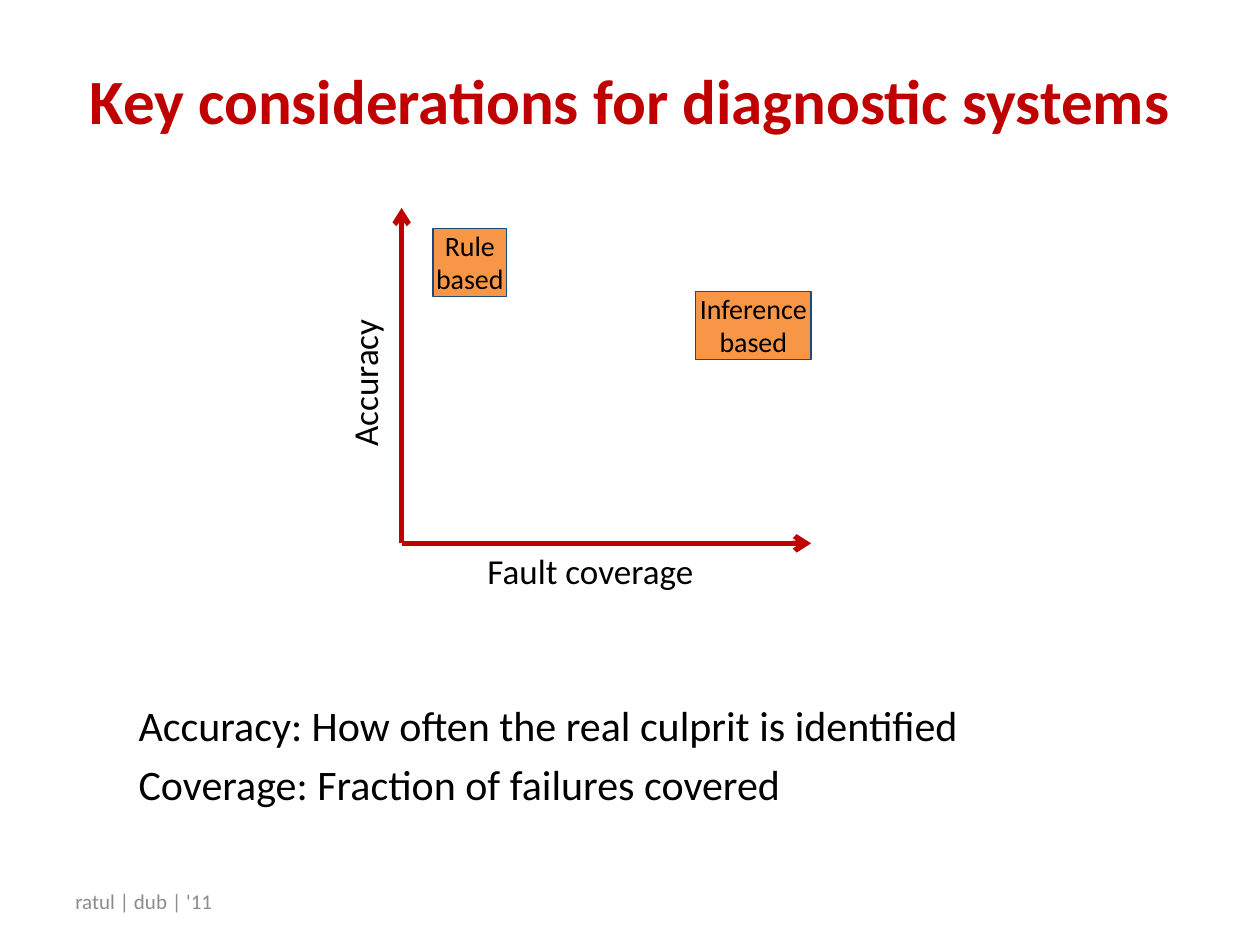
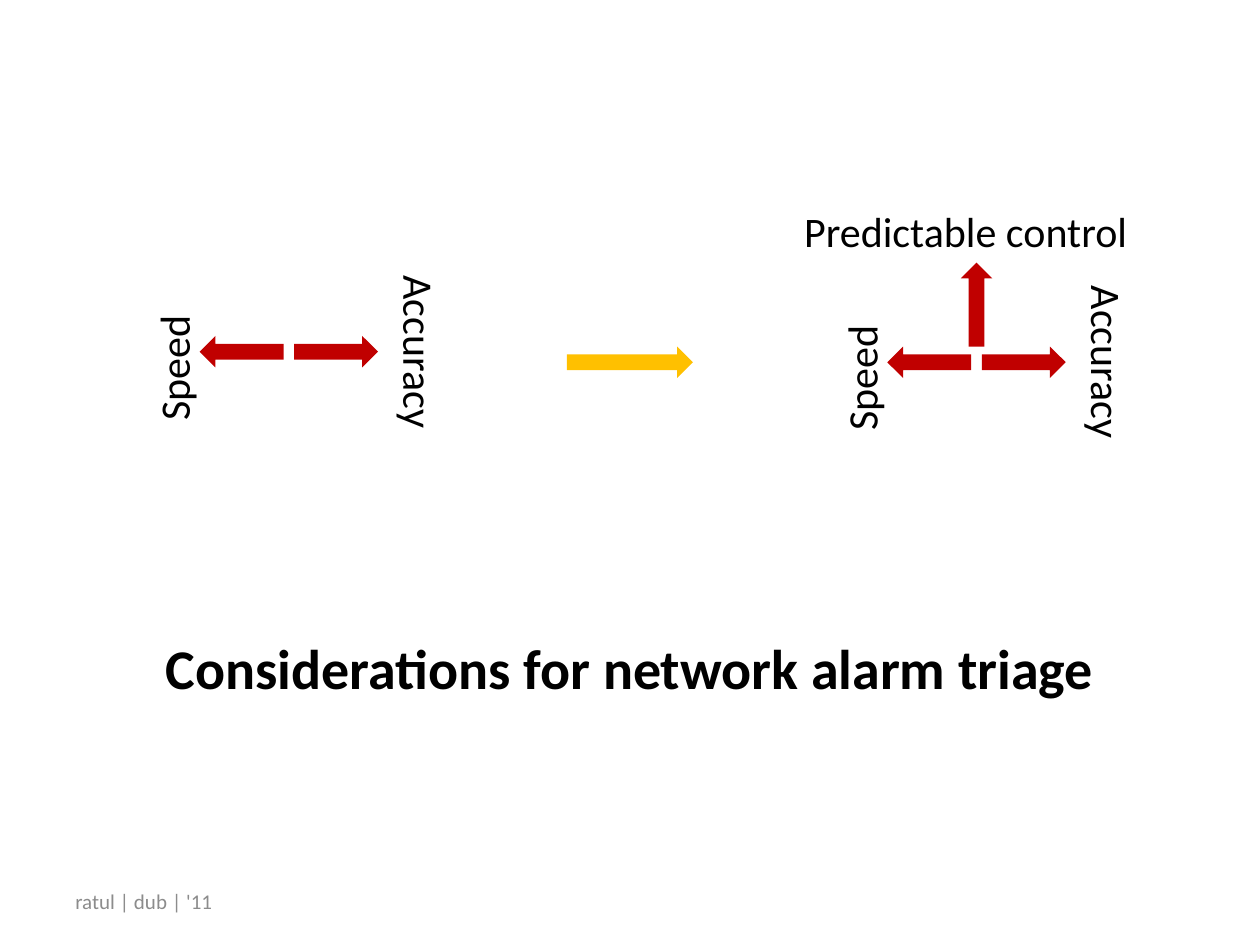
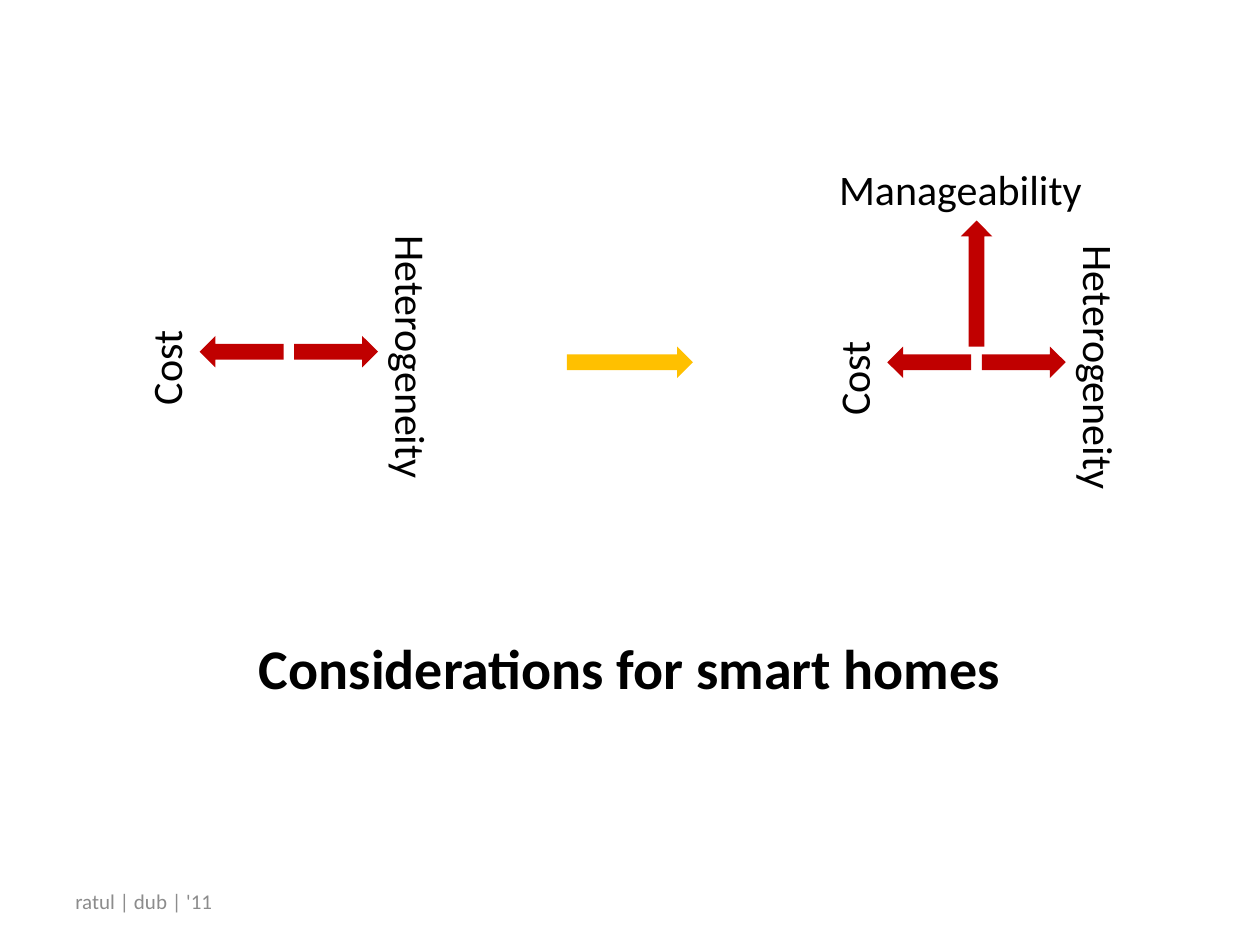
from dataclasses import dataclass

from lxml.etree import SubElement
from pptx import Presentation
from pptx.dml.color import RGBColor
from pptx.enum.shapes import MSO_CONNECTOR, MSO_SHAPE
from pptx.enum.text import MSO_ANCHOR, PP_ALIGN
from pptx.oxml.ns import qn
from pptx.util import Emu, Inches, Pt


@dataclass(frozen=True)
class Theme:
    font: str = "Calibri"
    red: RGBColor = RGBColor(0xC0, 0x00, 0x00)
    gold: RGBColor = RGBColor(0xFF, 0xC0, 0x00)
    orange: RGBColor = RGBColor(0xF7, 0x96, 0x46)
    navy: RGBColor = RGBColor(0x1F, 0x49, 0x7D)
    black: RGBColor = RGBColor(0x00, 0x00, 0x00)
    grey: RGBColor = RGBColor(0x8C, 0x8C, 0x8C)
    title: int = 36
    closing_title: int = 32
    body: int = 24
    axis: int = 20
    method: int = 16
    footer: int = 12


THEME = Theme()
CELL = Inches(1) / 12  # the slide is a grid of 120 columns by 90 rows


def area(left, top, width, height):
    """Turn grid columns and rows into a shape's position and size."""
    return [Emu(round(cells * CELL)) for cells in (left, top, width, height)]


def write(shape, text, size, color=THEME.black, align=PP_ALIGN.LEFT, bold=False,
          anchor=MSO_ANCHOR.TOP):
    """Fill a shape with one paragraph per line of text."""
    frame = shape.text_frame
    frame.text = text
    frame.word_wrap = True
    frame.vertical_anchor = anchor
    for para in frame.paragraphs:
        para.alignment = align
        para.font.name = THEME.font
        para.font.size = Pt(size)
        para.font.bold = bold
        para.font.color.rgb = color
    return frame


deck = Presentation()
deck.slide_width, deck.slide_height = area(0, 0, 120, 90)[2:]
content_layout, title_layout = deck.slide_layouts[1], deck.slide_layouts[5]

# Slides with their titles
pages = []
for layout, text, top, size, color in [
    (content_layout, "Key considerations for diagnostic systems", 2, THEME.title, THEME.red),
    (title_layout, "Considerations for network alarm triage", 56, THEME.closing_title, THEME.black),
    (title_layout, "Considerations for smart homes", 56, THEME.closing_title, THEME.black),
]:
    page = deck.slides.add_slide(layout)
    title = page.shapes.title
    title.left, title.top, title.width, title.height = area(6, top, 108, 15)
    write(title, text, size, color, PP_ALIGN.CENTER, True, MSO_ANCHOR.MIDDLE)
    pages.append(page)

# Diagnostic systems: definitions
diagnostics = pages[0]
body = diagnostics.placeholders[1]
body.left, body.top, body.width, body.height = area(12, 66, 99, 15)
definitions = write(
    body,
    "Accuracy: How often the real culprit is identified\nCoverage: Fraction of failures covered",
    THEME.body,
)
for para in definitions.paragraphs:
    properties = para._p.get_or_add_pPr()
    properties.set("marL", str(Inches(0.5)))
    properties.set("indent", str(-Inches(0.5)))
    properties.insert_element_before(properties.makeelement(qn("a:buNone")), "a:defRPr")

# Diagnostic systems: axes
ORIGIN_X, ORIGIN_Y = 38.25, 51.75
for end_x, end_y in [(ORIGIN_X, 19.8), (77.25, ORIGIN_Y)]:
    axis = diagnostics.shapes.add_connector(
        MSO_CONNECTOR.STRAIGHT, *area(ORIGIN_X, ORIGIN_Y, end_x, end_y))
    axis.line.color.rgb = THEME.red
    axis.line.width = Pt(3)
    SubElement(axis.line._get_or_add_ln(), qn("a:tailEnd"), type="arrow")
    SubElement(axis._element.spPr, qn("a:effectLst"))

for text, left, top, width, rotation in [
    ("Accuracy", 26.2, 32.6, 17, 270),
    ("Fault coverage", 45.25, ORIGIN_Y, 23, 0),
]:
    box = diagnostics.shapes.add_textbox(*area(left, top, width, 5.25))
    box.rotation = rotation
    write(box, text, THEME.axis)

# Diagnostic systems: methods placed on the axes
for text, left, top, width in [
    ("Rule based", 41.25, 21.75, 7),
    ("Inference based", 66.25, 27.75, 11),
]:
    method = diagnostics.shapes.add_shape(MSO_SHAPE.RECTANGLE, *area(left, top, width, 6.5))
    method.shadow.inherit = False
    method.fill.solid()
    method.fill.fore_color.rgb = THEME.orange
    method.line.color.rgb = THEME.navy
    method.line.width = Pt(0.75)
    frame = write(method, text, THEME.method, align=PP_ALIGN.CENTER)
    frame.margin_left = frame.margin_right = frame.margin_top = frame.margin_bottom = 0

# Trade-offs: two goals on the left become three on the right
LEFT_HUB, RIGHT_HUB = (27.5, 33.5), (93, 34.5)
SHORT, THICK, REACH = 8, 3, 4.5
WIDE_INSET = Inches(0.27)  # nudges a centred label towards its start
NORMAL_INSET = Inches(0.1)

# Each goal: text, box width, column and row offset from the hub, right inset
tradeoffs = [
    (pages[1], SHORT,
     ("Speed", 18, -11, 0.5, WIDE_INSET),
     ("Accuracy", 17, 12.5, 0, NORMAL_INSET),
     ("Predictable control", 36, 0, WIDE_INSET)),
    (pages[2], 12,
     ("Cost", 18, -11.75, 0.5, WIDE_INSET),
     ("Heterogeneity", 26, 11.75, 0.5, NORMAL_INSET),
     ("Manageability", 33, -0.5, WIDE_INSET)),
]
for page, rise, near_goal, far_goal, (top_text, top_width, top_shift, top_inset) in tradeoffs:
    right_x, right_y = RIGHT_HUB
    tip = right_y - 1.5 - rise
    arrows = [
        (60, right_y, 12, 0, THEME.gold),
        (right_x, tip + rise / 2, rise, 270, THEME.red),
    ]
    labels = [(top_text, top_width, right_x + top_shift, tip - 3, 0, top_inset)]
    for hub_x, hub_y in (LEFT_HUB, RIGHT_HUB):
        arrows += [(hub_x + REACH, hub_y, SHORT, 0, THEME.red),
                   (hub_x - REACH, hub_y, SHORT, 180, THEME.red)]
        for (text, width, shift_x, shift_y, inset), rotation in [(near_goal, 270), (far_goal, 90)]:
            labels.append((text, width, hub_x + shift_x, hub_y + shift_y, rotation, inset))

    for center_x, center_y, length, rotation, color in arrows:
        arrow = page.shapes.add_shape(
            MSO_SHAPE.RIGHT_ARROW,
            *area(center_x - length / 2, center_y - THICK / 2, length, THICK))
        arrow.rotation = rotation
        arrow.shadow.inherit = False
        arrow.fill.solid()
        arrow.fill.fore_color.rgb = color
        arrow.line.fill.background()

    for text, width, center_x, center_y, rotation, inset in labels:
        box = page.shapes.add_textbox(*area(center_x - width / 2, center_y - 3, width, 6))
        box.rotation = rotation
        write(box, text, THEME.body, align=PP_ALIGN.CENTER).margin_right = inset

# Footer on every slide
for page in pages:
    footer = page.shapes.add_textbox(*area(6, 83.4, 37, 4.8))
    write(footer, "ratul | dub | '11", THEME.footer, THEME.grey, anchor=MSO_ANCHOR.MIDDLE)

deck.save("out.pptx")
